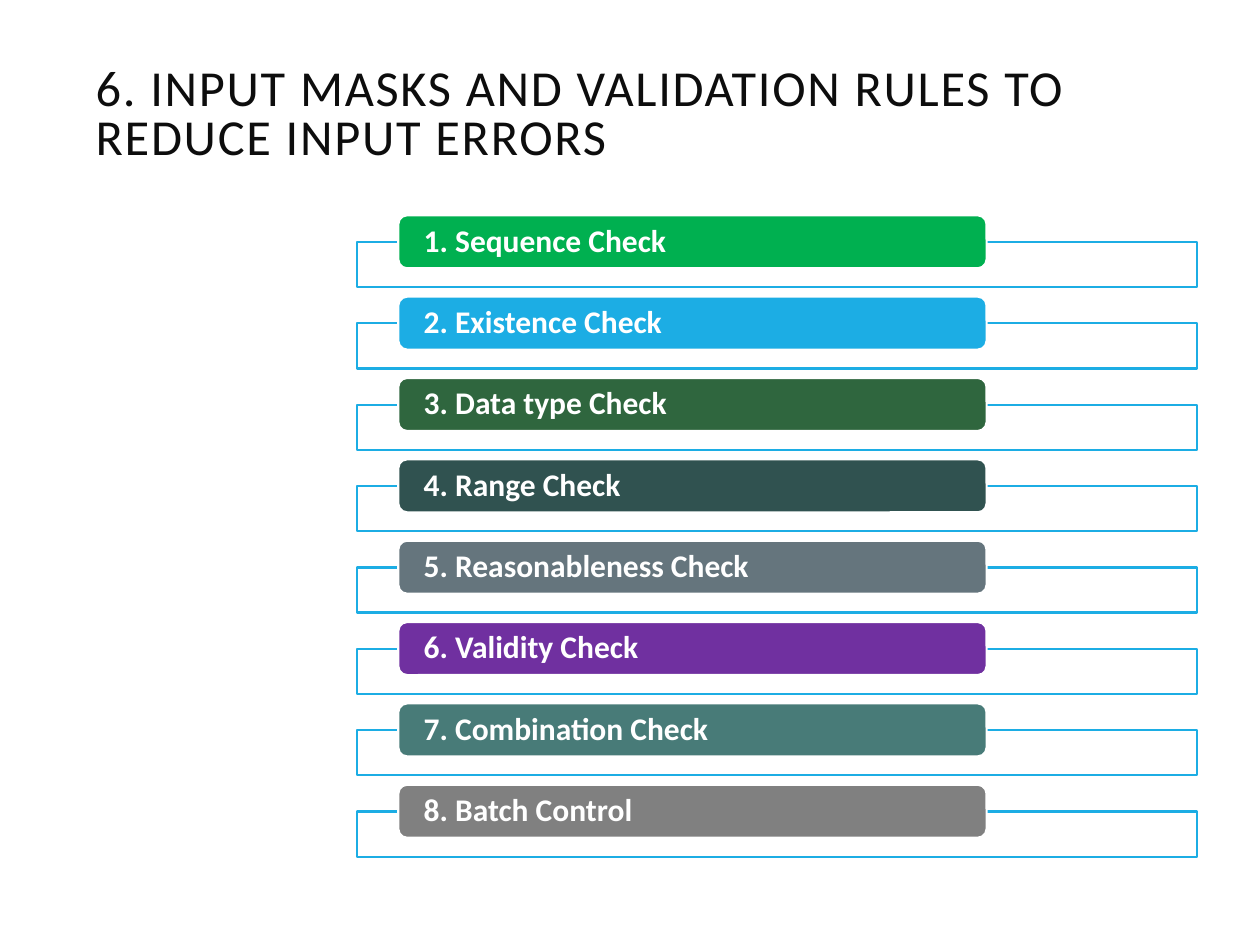
from dataclasses import dataclass

from pptx import Presentation
from pptx.dml.color import RGBColor
from pptx.enum import shapes, text
from pptx.util import Cm, Pt

WHITE = RGBColor(0xFF, 0xFF, 0xFF)
INK = RGBColor(0x0D, 0x0D, 0x0D)
SKY = RGBColor(0x1C, 0xAD, 0xE4)
GREEN = RGBColor(0x00, 0xB0, 0x50)
FOREST = RGBColor(0x2F, 0x66, 0x3E)
PINE = RGBColor(0x30, 0x52, 0x50)
SLATE = RGBColor(0x65, 0x75, 0x7D)
PURPLE = RGBColor(0x70, 0x30, 0xA0)
TEAL = RGBColor(0x48, 0x7B, 0x78)
GREY = RGBColor(0x80, 0x80, 0x80)

FONT = "Calibri"
FIRST_TAB_TOP = 4.34
ROW_PITCH = 1.64
FRAME_DROP = 0.54


@dataclass(frozen=True)
class Check:
    name: str
    color: RGBColor


CHECKS = [
    Check("Sequence Check", GREEN),
    Check("Existence Check", SKY),
    Check("Data type Check", FOREST),
    Check("Range Check", PINE),
    Check("Reasonableness Check", SLATE),
    Check("Validity Check", PURPLE),
    Check("Combination Check", TEAL),
    Check("Batch Control", GREY),
]


def write(holder, words: str, *, size: float, color: RGBColor, spacing: float,
          bold: bool = False, tracking: int = 0, side: float = 0.25,
          edge: float = 0.0) -> None:
    """Fill a shape with left-aligned, vertically centred text."""
    frame = holder.text_frame
    frame.word_wrap = True
    frame.vertical_anchor = text.MSO_ANCHOR.MIDDLE
    frame.margin_left = frame.margin_right = Cm(side)
    frame.margin_top = frame.margin_bottom = Cm(edge)
    paragraph = frame.paragraphs[0]
    paragraph.alignment = text.PP_ALIGN.LEFT
    paragraph.line_spacing = spacing
    run = paragraph.add_run()
    run.text = words
    run.font.name = FONT
    run.font.size = Pt(size)
    run.font.bold = bold
    run.font.color.rgb = color
    if tracking:
        run.font._element.set("spc", str(tracking))


def add_block(slide, kind, left: float, top: float, width: float, height: float,
              fill: RGBColor, line: RGBColor):
    block = slide.shapes.add_shape(kind, Cm(left), Cm(top), Cm(width), Cm(height))
    block.shadow.inherit = False
    block.fill.solid()
    block.fill.fore_color.rgb = fill
    block.line.color.rgb = line
    block.line.width = Pt(1.25)
    return block


def add_check(slide, number: int, check: Check) -> None:
    """Draw an outlined frame with the coloured tab over its top edge."""
    top = FIRST_TAB_TOP + (number - 1) * ROW_PITCH
    add_block(slide, shapes.MSO_SHAPE.RECTANGLE,
              7.19, top + FRAME_DROP, 16.94, 0.91, WHITE, SKY)
    tab = add_block(slide, shapes.MSO_SHAPE.ROUNDED_RECTANGLE,
                    8.03, top, 11.86, 1.07, check.color, WHITE)
    write(tab, f"{number}. {check.name}", size=18, color=WHITE,
          spacing=0.9, bold=True, side=0.46)


def main() -> None:
    deck = Presentation()
    deck.slide_width, deck.slide_height = Cm(25.4), Cm(19.05)
    slide = deck.slides.add_slide(deck.slide_layouts[6])

    title = slide.shapes.add_textbox(Cm(1.68), Cm(1.12), Cm(22.05), Cm(2.46))
    write(title, "6. INPUT MASKS AND VALIDATION RULES TO REDUCE INPUT ERRORS",
          size=28.8, color=INK, spacing=0.8, tracking=100, edge=0.13)

    for number, check in enumerate(CHECKS, start=1):
        add_check(slide, number, check)

    deck.save("out.pptx")


if __name__ == "__main__":
    main()
